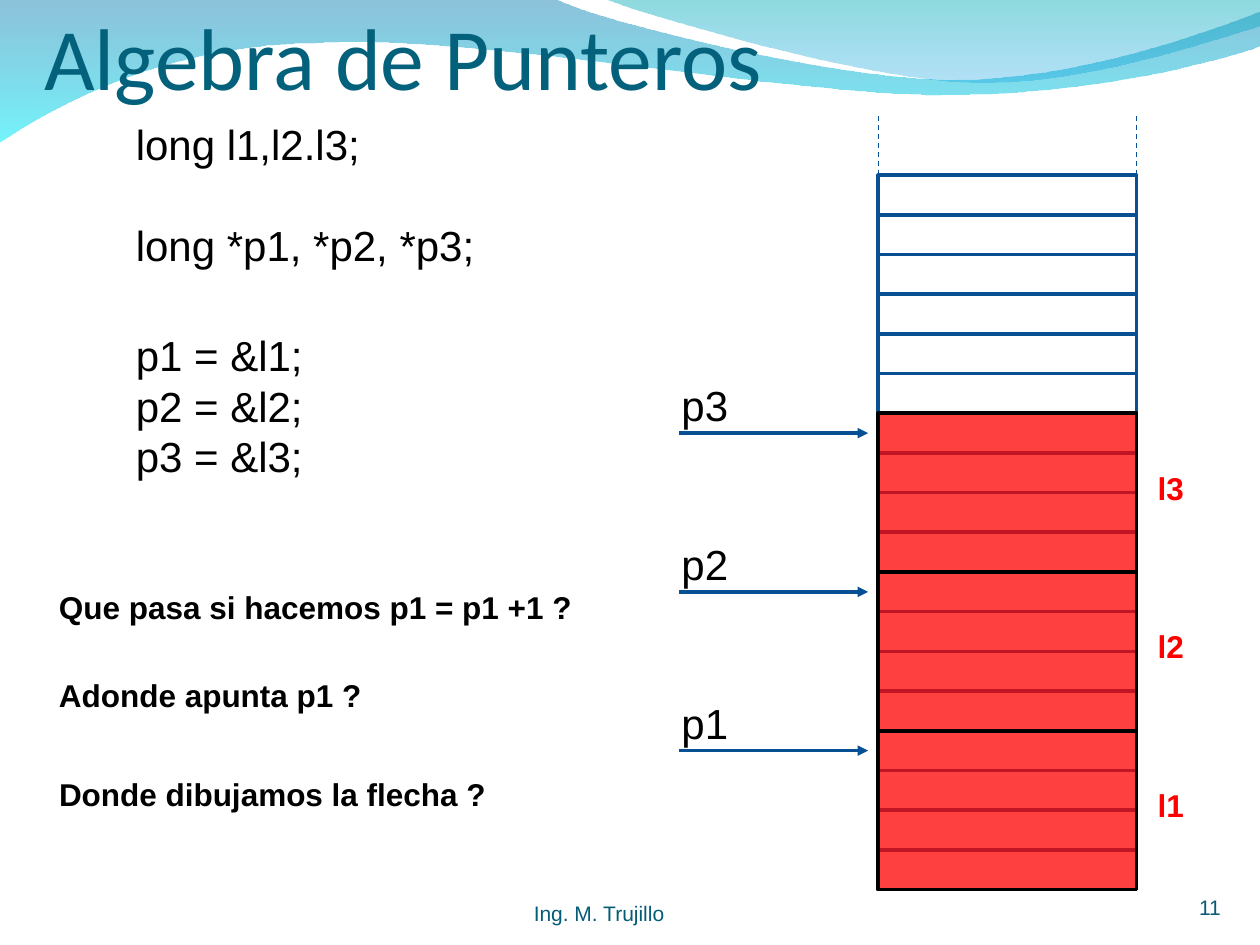
from lxml import etree
from pptx import Presentation
from pptx.dml.color import RGBColor
from pptx.enum import dml, shapes, text
from pptx.oxml import ns
from pptx.util import Inches, Pt

BLUE = RGBColor(0x06, 0x50, 0x93)
CELL_BLUE = RGBColor(0x08, 0x50, 0x91)
TITLE_TEAL = RGBColor(0x04, 0x61, 0x7B)
FOOTER_TEAL = RGBColor(0x04, 0x5C, 0x75)
RED = RGBColor(0xFF, 0, 0)
BLACK = RGBColor(0, 0, 0)

# Each wave: start point, steps (2 numbers: line, 6: Bezier curve),
# gradient stops from top to bottom as (colour, opacity %)
WAVES = [
    ((0, -0.01),
     [(4.4, -0.01),
      (4.76, 0.17, 6.64, 0.63, 7.58, 0.63),
      (8.53, 0.63, 9.58, 0.26, 10, 0.09),
      (10.01, 0.36),
      (9.83, 0.44, 8.7, 0.76, 7.46, 0.75),
      (6.22, 0.75, 3.82, 0.28, 2.57, 0.34),
      (1.29, 0.35, 0.46, 0.83, -0.01, 1.13),
      (0, -0.01)],
     [(RGBColor(0, 0x79, 0xAF), 45), (RGBColor(0, 0xEB, 0xF8), 55)]),
    ((4.79, -0.01),
     [(5.09, 0.11, 6.82, 0.62, 7.69, 0.65),
      (8.56, 0.69, 9.61, 0.32, 10, 0.21),
      (10, 0),
      (4.79, -0.01)],
     [(RGBColor(0, 0xAD, 0xB6), 45), (RGBColor(0, 0x9B, 0xE5), 30)]),
]
TITLE = "Algebra de Punteros"
FOOTER, PAGE = "Ing. M. Trujillo", "11"
DECLARATIONS = ["long l1,l2.l3;", "long *p1, *p2, *p3;"]
ASSIGNMENTS = ["p1 = &l1;", "p2 = &l2;", "p3 = &l3;"]
QUESTIONS = [
    (0.37, 4.62, 4.27, "Que pasa si hacemos p1 = p1 +1 ?"),
    (0.37, 5.32, 2.6, "Adonde apunta p1 ?"),
    (0.37, 6.1, 3.59, "Donde dibujamos la flecha ?"),
]
VARIABLES = [("l1", "p1"), ("l2", "p2"), ("l3", "p3")]  # from the bottom up

MEM_LEFT, MEM_TOP, MEM_WIDTH = 6.97, 1.39, 2.05
CELL, CELLS, CELLS_PER_LONG = 0.315, 18, 4
DASH_TOP = 0.91
ARROW_LEFT, ARROW_RIGHT = 5.39, 6.89

prs = Presentation()
prs.slide_width, prs.slide_height = Inches(10), Inches(7.5)
s = prs.slides.add_slide(prs.slide_layouts[6])


def set_alpha(color_el, percent):
    etree.SubElement(color_el, ns.qn("a:alpha")).set("val", str(percent * 1000))


def bend_segments(sp, steps):
    """Join the three line segments of each curve step into one Bezier."""
    segments = iter(list(sp.element.spPr.iter(ns.qn("a:lnTo"))))
    for step in steps:
        group = [next(segments) for _ in range(len(step) // 2)]
        if len(group) == 3:
            curve = etree.Element(ns.qn("a:cubicBezTo"))
            group[0].addprevious(curve)
            for segment in group:
                curve.append(segment[0])
                segment.getparent().remove(segment)


def add_wave(start, steps, stops):
    points = [(Inches(x), Inches(y)) for step in steps
              for x, y in zip(step[::2], step[1::2])]
    builder = s.shapes.build_freeform(*map(Inches, start))
    builder.add_line_segments(points, close=True)
    sp = builder.convert_to_shape()
    bend_segments(sp, steps)
    sp.shadow.inherit = False
    sp.line.fill.background()
    sp.fill.gradient()
    sp.fill.gradient_angle = 270
    for stop, (color, _) in zip(sp.fill.gradient_stops, stops):
        stop.color.rgb = color
    colors = sp.element.spPr.iter(ns.qn("a:srgbClr"))
    for color_el, (_, opacity) in zip(list(colors), stops):
        set_alpha(color_el, opacity)


def add_text(left, top, width, height, lines, size, color=BLACK, font="Arial",
             bold=False, align=text.PP_ALIGN.LEFT, anchor=text.MSO_ANCHOR.TOP,
             insets=(0.1, 0.05, 0.1, 0.05), wrap=True, gap=0):
    sp = s.shapes.add_textbox(Inches(left), Inches(top), Inches(width), Inches(height))
    tf = sp.text_frame
    tf.word_wrap, tf.vertical_anchor = wrap, anchor
    (tf.margin_left, tf.margin_top,
     tf.margin_right, tf.margin_bottom) = map(Inches, insets)
    tf.text = "\n".join(lines)
    for i, p in enumerate(tf.paragraphs):
        p.alignment = align
        p.space_before = Pt(gap if i else 0)
        f = p.runs[0].font
        f.name, f.size, f.bold, f.color.rgb = font, Pt(size), bold, color


def add_box(top, cells, line_color):
    sp = s.shapes.add_shape(shapes.MSO_SHAPE.RECTANGLE, Inches(MEM_LEFT), Inches(top),
                            Inches(MEM_WIDTH), Inches(cells * CELL))
    sp.shadow.inherit = False
    sp.fill.background()
    sp.line.color.rgb, sp.line.width = line_color, Pt(2)
    return sp


def add_line(x1, y1, x2, y2, width):
    cx = s.shapes.add_connector(shapes.MSO_CONNECTOR.STRAIGHT,
                                *map(Inches, (x1, y1, x2, y2)))
    cx.line.color.rgb, cx.line.width = BLUE, Pt(width)
    etree.SubElement(cx.element.spPr, ns.qn("a:effectLst"))
    return cx


for wave in WAVES:
    add_wave(*wave)

bottom = dict(anchor=text.MSO_ANCHOR.BOTTOM)
add_text(2.92, 6.95, 3.67, 0.4, [FOOTER], 12, FOOTER_TEAL, insets=(0, 0, 0, 0),
         align=text.PP_ALIGN.CENTER, **bottom)
add_text(8.86, 6.9, 0.83, 0.4, [PAGE], 12, FOOTER_TEAL, insets=(0, 0, 0, 0),
         align=text.PP_ALIGN.RIGHT, **bottom)
add_text(0.35, 0.05, 7.95, 0.81, [TITLE], 50, TITLE_TEAL, "Calibri",
         insets=(0, 0.05, 0, 0), **bottom)

for i in range(CELLS):
    add_box(MEM_TOP + i * CELL, 1, CELL_BLUE)
for x in (MEM_LEFT, MEM_LEFT + MEM_WIDTH):
    add_line(x, MEM_TOP, x, DASH_TOP, 0.75).line.dash_style = dml.MSO_LINE.DASH

for i, (variable, pointer) in enumerate(VARIABLES):
    top = MEM_TOP + (CELLS - CELLS_PER_LONG * (i + 1)) * CELL
    block = add_box(top, CELLS_PER_LONG, BLACK)
    block.fill.solid()
    block.fill.fore_color.rgb = RED
    set_alpha(block.element.spPr.find(ns.qn("a:solidFill"))[0], 75)
    add_text(9.09, top + 0.39, 0.5, 0.4, [variable], 18, RED, bold=True)

    arrow_y = top + CELL / 2
    arrow = add_line(ARROW_LEFT, arrow_y, ARROW_RIGHT, arrow_y, 2)
    line_el = arrow.element.spPr.find(ns.qn("a:ln"))
    etree.SubElement(line_el, ns.qn("a:tailEnd")).set("type", "triangle")
    add_text(5.31, top - CELL, 0.79, 0.5, [pointer], 24)

add_text(0.98, 0.89, 3.23, 1.3, DECLARATIONS, 24, gap=29)
add_text(0.98, 2.57, 1.73, 1.3, ASSIGNMENTS, 24)
for left, top, width, question in QUESTIONS:
    add_text(left, top, width, 0.4, [question], 18, bold=True, wrap=False)

prs.save("out.pptx")
